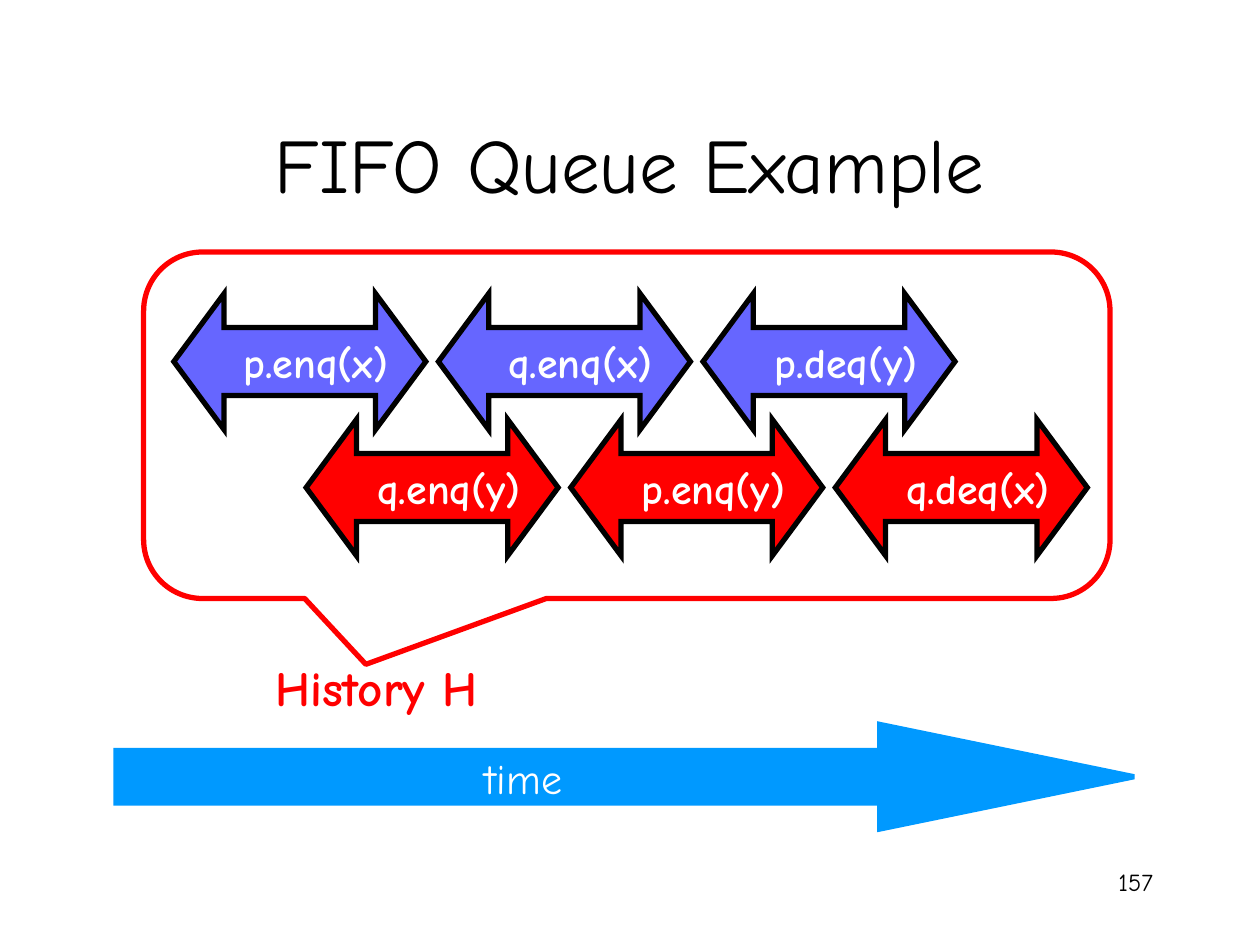
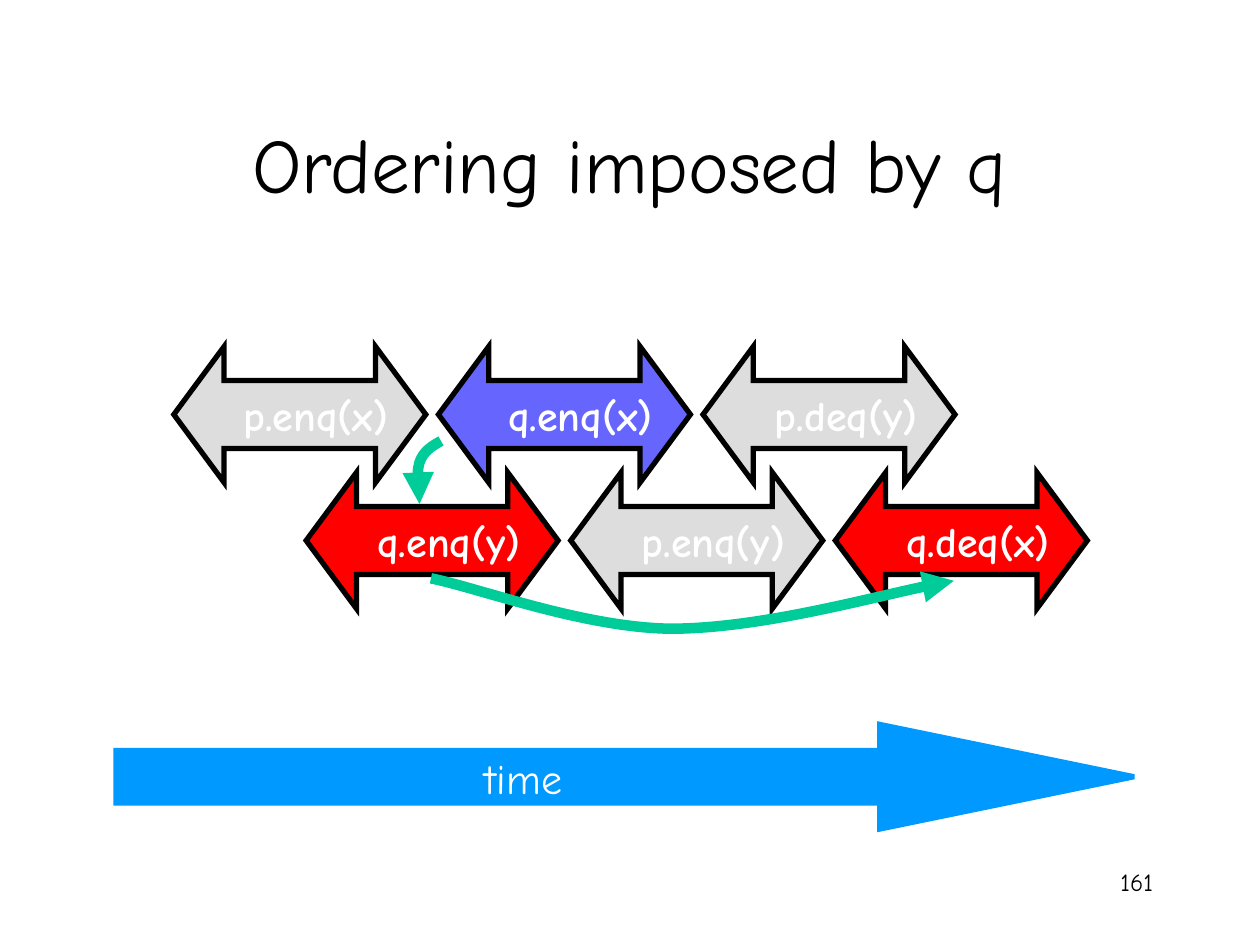
from dataclasses import dataclass

from lxml.etree import SubElement
from pptx import Presentation
from pptx.dml.color import RGBColor
from pptx.enum.shapes import MSO_SHAPE as Shape
from pptx.enum.text import MSO_ANCHOR as Anchor, MSO_AUTO_SIZE as AutoSize, PP_ALIGN as Align
from pptx.oxml.ns import qn
from pptx.util import Inches, Pt


@dataclass(frozen=True)
class Theme:
    font: str = "Comic Neue"
    black: str = "000000"
    white: str = "FFFFFF"
    red: str = "FF0000"
    violet: str = "6666FF"
    muted: str = "DDDDDD"
    sky: str = "0099FF"
    green: str = "00CC99"
    title_size: int = 44
    history_size: int = 28
    label_size: int = 24
    number_size: int = 14
    outline: int = 3
    order_line: int = 6


THEME = Theme()

OPERATIONS = ["p.enq(x)", "q.enq(y)", "q.enq(x)", "p.enq(y)", "p.deq(y)", "q.deq(x)"]
ROW_COLORS = [THEME.violet, THEME.red]

SLIDES = [
    {
        "title": "FIFO Queue Example",
        "number": "157",
        "top": 2.33,
        "queues": "pq",
        "history": "History H",
        "orders": [],
    },
    {
        "title": "Ordering imposed by q",
        "number": "161",
        "top": 2.75,
        "queues": "q",
        "history": None,
        "orders": [
            [(3.42, 4.59), (3.81, 4.67), (4.63, 4.98), (5.32, 4.99),
             (6.01, 4.99), (7.19, 4.67), (7.57, 4.61)],
            [(3.5, 3.5), (3.43, 3.54), (3.36, 3.58), (3.33, 3.67),
             (3.31, 3.75), (3.32, 3.88), (3.33, 4)],
        ],
    },
]

FIRST_LEFT, TIME_STEP, ROW_STEP = 1.38, 1.05, 1
OPERATION_SIZE = (2, 1.08)


def rgb(color):
    return RGBColor.from_string(color)


def inches(*lengths):
    return [Inches(length) for length in lengths]


def write(holder, text, size, color, align=Align.RIGHT, bold=False, anchor=Anchor.TOP):
    frame = holder.text_frame
    frame.text = text
    frame.word_wrap = True
    frame.auto_size = AutoSize.NONE
    frame.vertical_anchor = anchor
    paragraph = frame.paragraphs[0]
    paragraph.alignment = align
    font = paragraph.runs[0].font
    font.name, font.size, font.bold = THEME.font, Pt(size), bold
    font.color.rgb = rgb(color)


def add_label(shapes, box, text, size, color, bold=False):
    write(shapes.add_textbox(*inches(*box)), text, size, color, bold=bold)


def paint(shape, fill, line, width=THEME.outline):
    shape.shadow.inherit = False
    if fill:
        shape.fill.solid()
        shape.fill.fore_color.rgb = rgb(fill)
    else:
        shape.fill.background()
    shape.line.color.rgb = rgb(line)
    shape.line.width = Pt(width)


def add_preset(shapes, preset, box, adjustments, fill, line):
    shape = shapes.add_shape(preset, *inches(*box))
    for index, value in enumerate(adjustments):
        shape.adjustments[index] = value
    paint(shape, fill, line)
    if fill:
        SubElement(shape.line._get_or_add_ln(), qn("a:miter"), lim="800000")
    return shape


def add_operations(shapes, top, queues):
    for moment, operation in enumerate(OPERATIONS):
        row = moment % 2
        place = (FIRST_LEFT + moment * TIME_STEP, top + row * ROW_STEP)
        fill = ROW_COLORS[row] if operation[0] in queues else THEME.muted
        interval = add_preset(shapes, Shape.LEFT_RIGHT_ARROW, place + OPERATION_SIZE,
                              (0.5, 0.37), fill, THEME.black)
        write(interval, operation, THEME.label_size, THEME.white,
              bold=True, anchor=Anchor.MIDDLE)


def add_history(shapes, history):
    add_preset(shapes, Shape.ROUNDED_RECTANGULAR_CALLOUT, (1.14, 2, 7.67, 2.75),
               (-0.27, 0.69, 0.17), None, THEME.red)
    add_label(shapes, (1.83, 5.17, 2.06, 0.57), history,
              THEME.history_size, THEME.red, bold=True)


def add_order(shapes, points):
    start, *rest = [tuple(inches(*point)) for point in points]
    builder = shapes.build_freeform(*start)
    builder.add_line_segments(rest, close=False)
    order = builder.convert_to_shape()
    paint(order, None, THEME.green, THEME.order_line)
    SubElement(order.line._get_or_add_ln(), qn("a:tailEnd"), type="triangle")
    route = next(order._element.iter(qn("a:path")))
    segments = route.findall(qn("a:lnTo"))
    for first in range(0, len(segments), 3):
        curve = SubElement(route, qn("a:cubicBezTo"))
        for segment in segments[first:first + 3]:
            curve.append(segment[0])
            route.remove(segment)


def add_time(shapes):
    time = shapes.add_group_shape().shapes
    add_preset(time, Shape.RIGHT_ARROW, (0.92, 5.75, 8.08, 0.83),
               (0.5, 2.43), THEME.sky, THEME.sky)
    add_label(time, (3.67, 5.92, 0.89, 0.5), "time", THEME.label_size, THEME.white)


def add_slide(deck, content):
    shapes = deck.slides.add_slide(deck.slide_layouts[5]).shapes
    title = shapes.title
    title.left, title.top, title.width, title.height = inches(0.75, 0.67, 8.5, 1.25)
    write(title, content["title"], THEME.title_size, THEME.black,
          align=Align.CENTER, anchor=Anchor.MIDDLE)
    add_label(shapes, (7.17, 6.83, 2.08, 0.5), content["number"],
              THEME.number_size, THEME.black)
    add_operations(shapes, content["top"], content["queues"])
    if content["history"]:
        add_history(shapes, content["history"])
    for points in content["orders"]:
        add_order(shapes, points)
    add_time(shapes)


def main():
    deck = Presentation()
    deck.slide_width, deck.slide_height = inches(10, 7.5)
    for content in SLIDES:
        add_slide(deck, content)
    deck.save("out.pptx")


if __name__ == "__main__":
    main()
